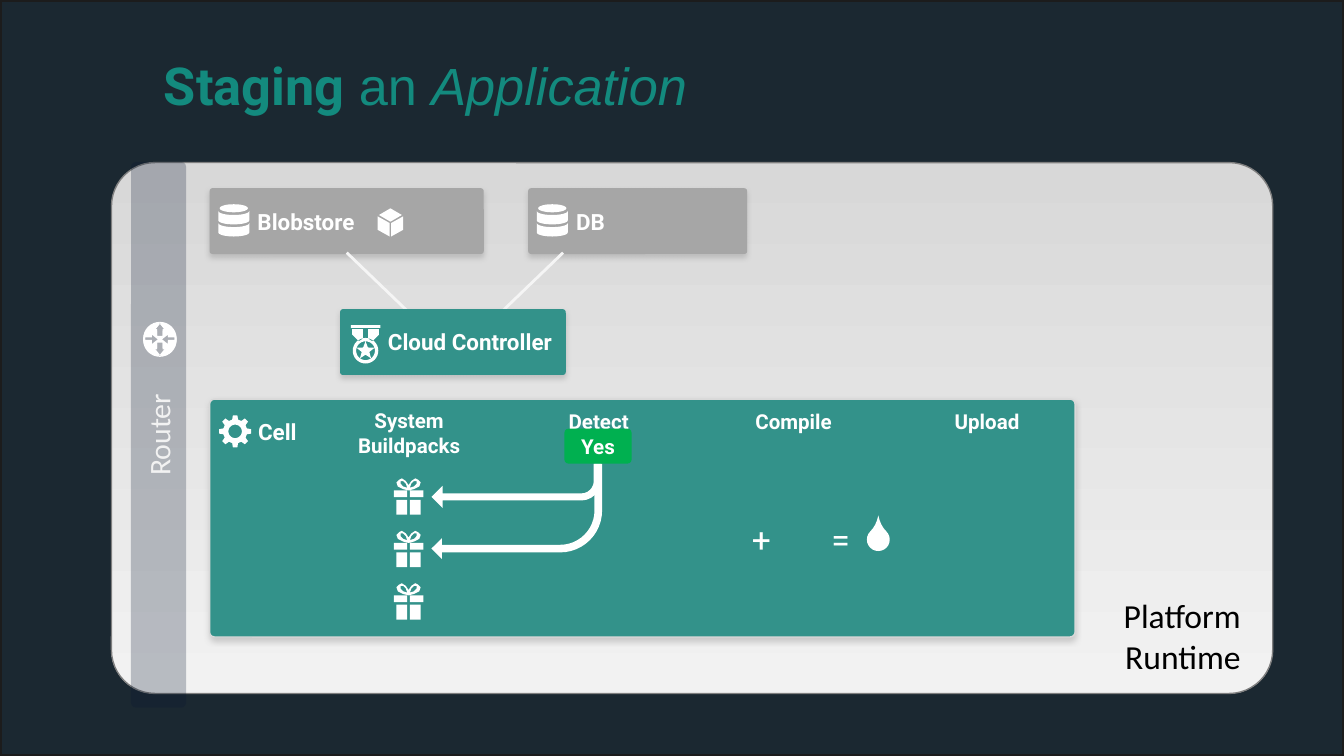
import math

import lxml.etree
import pptx
import pptx.dml.color
import pptx.enum.shapes
import pptx.enum.text
import pptx.oxml.ns
import pptx.util

Inches = pptx.util.Inches
Pt = pptx.util.Pt
MSO = pptx.enum.shapes.MSO_SHAPE
ALIGN = pptx.enum.text.PP_ALIGN
ANCHOR = pptx.enum.text.MSO_ANCHOR
qn = pptx.oxml.ns.qn

WIDTH = 10
HEIGHT = WIDTH * 9 / 16
WHITE, TEAL, GREY = "FFFFFF", "33928A", "A6A6A6"


def rgb(color):
    return pptx.dml.color.RGBColor.from_string(color)


def add_alpha(color_element, percent):
    lxml.etree.SubElement(color_element, qn("a:alpha"), val=str(percent * 1000))


def add_shadow(sp):
    effects = sp._element.spPr.find(qn("a:effectLst"))
    shadow = lxml.etree.SubElement(
        effects, qn("a:outerShdw"), blurRad=str(Pt(3.1)), dist=str(Pt(1.8)),
        dir="5400000", algn="t", rotWithShape="0")
    add_alpha(lxml.etree.SubElement(shadow, qn("a:srgbClr"), val="808080"), 35)


def paint(sp, fill, line=None, width=0.75):
    sp.shadow.inherit = False
    sp.fill.solid()
    sp.fill.fore_color.rgb = rgb(fill)
    if line:
        sp.line.color.rgb = rgb(line)
        sp.line.width = Pt(width)
    else:
        sp.line.fill.background()


def add_shape(s, kind, box, fill, line=None, width=0.75, adj=(), rotation=0):
    sp = s.shapes.add_shape(kind, *map(Inches, box))
    for i, value in enumerate(adj):
        sp.adjustments[i] = value
    sp.rotation = rotation
    paint(sp, fill, line, width)
    return sp


def add_run(p, text, size=12, font="Roboto", color=WHITE, bold=False, italic=False):
    r = p.add_run()
    r.text = text
    r.font.size = Pt(size)
    r.font.name = font
    r.font.bold = bold
    r.font.italic = italic
    r.font.color.rgb = rgb(color)


def write_text(sp, text, align=ALIGN.CENTER, anchor=ANCHOR.TOP,
               insets=(0.1, 0.05, 0.1, 0.05), wrap=True, **font):
    tf = sp.text_frame
    tf.word_wrap = wrap
    tf.vertical_anchor = anchor
    (tf.margin_left, tf.margin_top,
     tf.margin_right, tf.margin_bottom) = map(Inches, insets)
    for i, line in enumerate(text.split("\n")):
        p = tf.add_paragraph() if i else tf.paragraphs[0]
        p.alignment = align
        add_run(p, line, **font)


def add_label(s, text, box, **fmt):
    write_text(s.shapes.add_textbox(*map(Inches, box)), text, **fmt)


def add_card(s, text, box, fill):
    sp = add_shape(s, MSO.ROUNDED_RECTANGLE, box, fill, adj=[0.046])
    add_shadow(sp)
    write_text(sp, text, ALIGN.LEFT, ANCHOR.MIDDLE, (0.35, 0, 0, 0), bold=True)


def add_link(s, start, end):
    line = s.shapes.add_connector(
        pptx.enum.shapes.MSO_CONNECTOR.STRAIGHT, *map(Inches, start + end))
    line.line.color.rgb = rgb("F5F5F5")
    line.line.width = Pt(1.5)
    lxml.etree.SubElement(line._element.spPr, qn("a:effectLst"))


def add_icon(s, x, y, contours):
    """Draw closed contours, given relative to (x, y), as one white outline."""
    builder = None
    for contour in contours:
        points = [(Inches(x + dx), Inches(y + dy)) for dx, dy in contour]
        if builder is None:
            builder = s.shapes.build_freeform(*points[0])
        else:
            builder.move_to(*points[0])
        builder.add_line_segments(points[1:], close=True)
    paint(builder.convert_to_shape(), WHITE)


def arc(cx, cy, rx, ry, start=0, end=360, steps=32):
    angles = [math.radians(start + (end - start) * i / steps) for i in range(steps + 1)]
    return [(cx + rx * math.cos(a), cy + ry * math.sin(a)) for a in angles]


def rect(left, top, right, bottom):
    return [(left, top), (right, top), (right, bottom), (left, bottom)]


def mirror(points, width):
    return [(width - x, y) for x, y in points]


def add_router_icon(s, x, y):
    up = [(-0.02, -0.02), (-0.02, -0.07), (-0.04, -0.07), (0, -0.12),
          (0.04, -0.07), (0.02, -0.07), (0.02, -0.02)]
    left = [(0.06, -0.04), (0.01, 0), (0.06, 0.04), (0.06, 0.01),
            (0.11, 0.01), (0.11, -0.02), (0.06, -0.02)]
    down = [(px, -py) for px, py in up]
    add_icon(s, x, y, [arc(0, 0, 0.125, 0.125), up, down, left, mirror(left, 0)])


def add_database_icon(s, x, y):
    bands = [arc(0.12, top, 0.115, 0.03, 180, 0) + arc(0.12, top + 0.07, 0.115, 0.03, 0, 180)
             for top in (0.05, 0.14)]
    add_icon(s, x, y, [arc(0.12, 0.03, 0.105, 0.03)] + bands)


def add_gear_icon(s, x, y):
    teeth = []
    for angle in range(0, 360, 45):
        for offset, radius in ((-14, 0.09), (-8, 0.12), (8, 0.12), (14, 0.09)):
            a = math.radians(angle + offset)
            teeth.append((radius * math.cos(a), radius * math.sin(a)))
    add_icon(s, x, y, [teeth, arc(0, 0, 0.05, 0.05)])


def add_gift_icon(s, x, y):
    half = [
        rect(0.12, 0.16, 0.2, 0.27),
        rect(0.12, 0.09, 0.22, 0.14),
        [(0.11, 0.09), (0.15, 0.08), (0.19, 0.06), (0.2, 0.03), (0.18, 0.01),
         (0.16, 0), (0.13, 0.02), (0.11, 0.05)],
        [(0.12, 0.07), (0.15, 0.06), (0.17, 0.04), (0.17, 0.02), (0.15, 0.02), (0.13, 0.04)],
    ]
    add_icon(s, x, y, half + [mirror(part, 0.22) for part in half])


def add_medal_icon(s, x, y):
    ribbon = [(0.01, 0.03), (0.09, 0.03), (0.09, 0.1), (0.06, 0.12), (0.01, 0.07)]
    star = []
    for i in range(10):
        a, radius = math.radians(36 * i - 90), 0.03 if i % 2 else 0.07
        star.append((0.11 + radius * math.cos(a), 0.19 + radius * math.sin(a)))
    add_icon(s, x, y, [rect(0, 0, 0.22, 0.02), ribbon, mirror(ribbon, 0.22),
                       arc(0.11, 0.19, 0.095, 0.095), arc(0.11, 0.19, 0.07, 0.07), star])


def add_cube_icon(s, x, y):
    side = [(0, 0.06), (0.09, 0.11), (0.09, 0.21), (0, 0.16)]
    top = [(0.095, 0), (0.18, 0.05), (0.095, 0.1), (0.01, 0.05)]
    add_icon(s, x, y, [side, mirror(side, 0.19), top])


def add_title(s):
    title = s.shapes.title
    title.left, title.top, title.width, title.height = map(Inches, (1.22, 0.45, 7.6, 0.64))
    tf = title.text_frame
    tf.margin_left = tf.margin_top = tf.margin_right = tf.margin_bottom = 0
    tf.vertical_anchor = ANCHOR.TOP
    p = tf.paragraphs[0]
    p.alignment = ALIGN.LEFT
    p.line_spacing = 0.9
    add_run(p, "Staging", size=28, color="138A7E", bold=True)
    add_run(p, " an ", size=28, font="Arial", color="138A7E")
    add_run(p, "Application", size=28, font="Arial", color="138A7E", italic=True)


def add_platform(s):
    panel = add_shape(s, MSO.ROUNDED_RECTANGLE, (0.83, 1.21, 8.64, 3.95),
                      "F2F2F2", "7F7F7F", adj=[0.082])
    panel.fill.gradient()
    panel.fill.gradient_angle = 270
    for stop, position, color in zip(panel.fill.gradient_stops, (0, 1), ("D8D8D8", "F2F2F2")):
        stop.position = position
        stop.color.rgb = rgb(color)
    router = add_shape(s, MSO.ROUNDED_RECTANGLE, (-0.85, 3.03, 4.06, 0.41),
                       "0A1831", adj=[0.087], rotation=270)
    add_alpha(router._element.spPr.find(qn("a:solidFill"))[0], 25)
    write_text(router, "Router", anchor=ANCHOR.MIDDLE, insets=(0, 0, 0, 0),
               size=16, font="Calibri", color="F2F2F2")
    add_label(s, "Platform Runtime", (7.47, 4.38, 1.86, 0.71), align=ALIGN.RIGHT,
              size=18, font="Calibri", color="000000")
    for y in (2.53, 2.52):
        add_router_icon(s, 1.19, y)


def add_services(s):
    for text, left, width in (("Blobstore", 1.56, 2.04), ("DB", 3.93, 1.63)):
        add_card(s, text, (left, 1.4, width, 0.49), GREY)
        add_database_icon(s, left + 0.06, 1.52)
    add_cube_icon(s, 2.81, 1.55)
    add_link(s, (2.58, 1.88), (3.11, 2.39))
    add_link(s, (4.19, 1.88), (3.66, 2.39))
    add_card(s, "Cloud Controller", (2.53, 2.3, 1.68, 0.49), TEAL)
    add_medal_icon(s, 2.61, 2.42)


def add_cell(s):
    cell = add_shape(s, MSO.ROUNDED_RECTANGLE, (1.56, 2.97, 6.44, 1.77),
                     TEAL, "D9D9D9", adj=[0.021])
    add_shadow(cell)
    write_text(cell, "Cell", ALIGN.LEFT, insets=(0.35, 0.13, 0, 0), bold=True)
    add_gear_icon(s, 1.75, 3.21)
    for i in range(3):
        add_gift_icon(s, 2.93, 3.56 + 0.39 * i)
    for text, left, width, height in (
            ("System\nBuildpacks", 2.53, 1.03, 0.47), ("Detect", 4.12, 0.67, 0.29),
            ("Compile", 5.5, 0.81, 0.29), ("Upload", 6.98, 0.73, 0.29)):
        add_label(s, text, (left, 2.99, width, height), wrap=False, size=11, bold=True)
    for width, height, adj in ((1.26, 0.33, (0.16, 0.25, 0.25, 0.44)),
                               (1.27, 0.71, (0.08, 0.11, 0.11, 0.44))):
        add_shape(s, MSO.BENT_ARROW, (3.21, 3.45, width, height), WHITE,
                  adj=adj, rotation=180)
    yes = add_shape(s, MSO.ROUNDED_RECTANGLE, (4.2, 3.19, 0.5, 0.26), "00B050", adj=[0.117])
    write_text(yes, "Yes", insets=(0.05, 0.03, 0.05, 0.03), wrap=False, size=11, bold=True)
    add_shape(s, MSO.TEAR, (6.45, 3.93, 0.17, 0.17), WHITE, adj=[1.5], rotation=315)
    for sign, left in (("+", 5.49), ("=", 6.08)):
        add_label(s, sign, (left, 3.81, 0.35, 0.4), wrap=False, size=18)


def main():
    prs = pptx.Presentation()
    prs.slide_width, prs.slide_height = Inches(WIDTH), Inches(HEIGHT)
    s = prs.slides.add_slide(prs.slide_layouts[5])
    backdrop = add_shape(s, MSO.RECTANGLE, (0, 0, WIDTH, HEIGHT), "1B2831", "1C1C1C", 2)
    s.shapes._spTree.insert(2, backdrop._element)  # behind the title
    add_title(s)
    add_platform(s)
    add_services(s)
    add_cell(s)
    prs.save("out.pptx")


if __name__ == "__main__":
    main()
